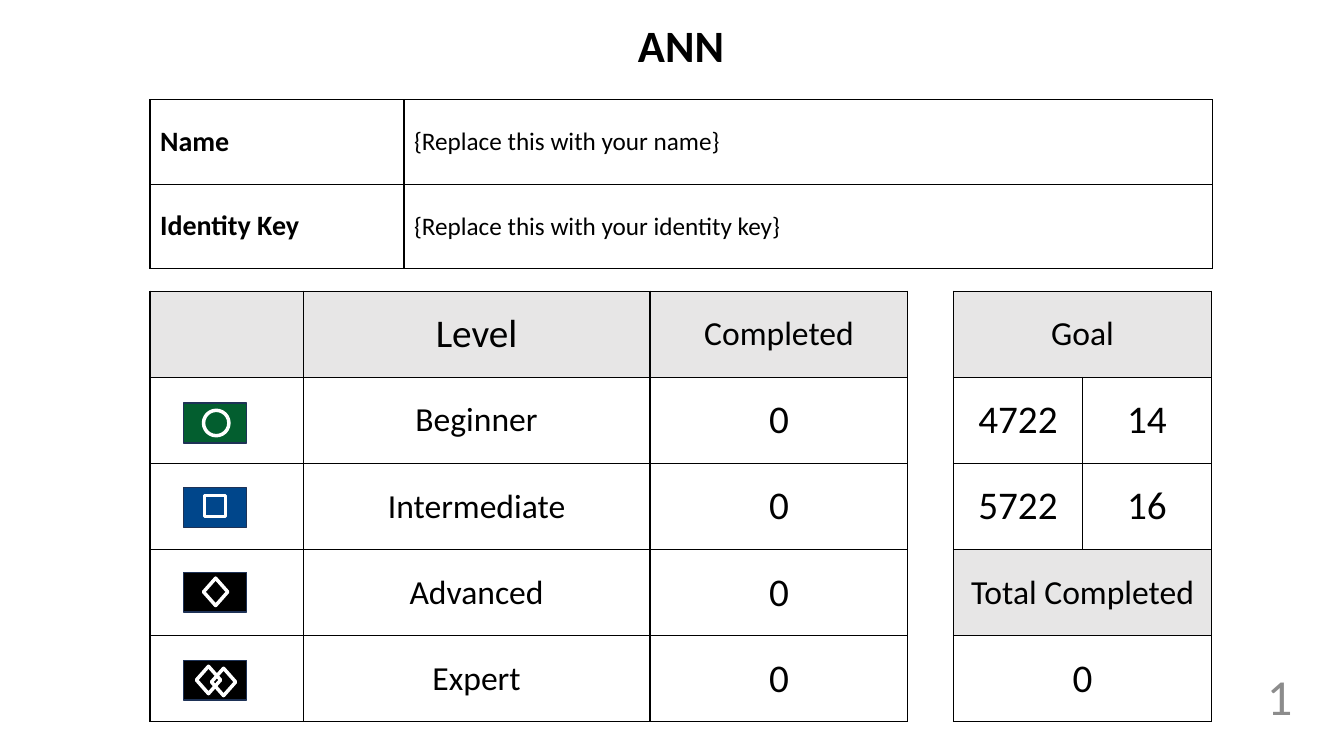
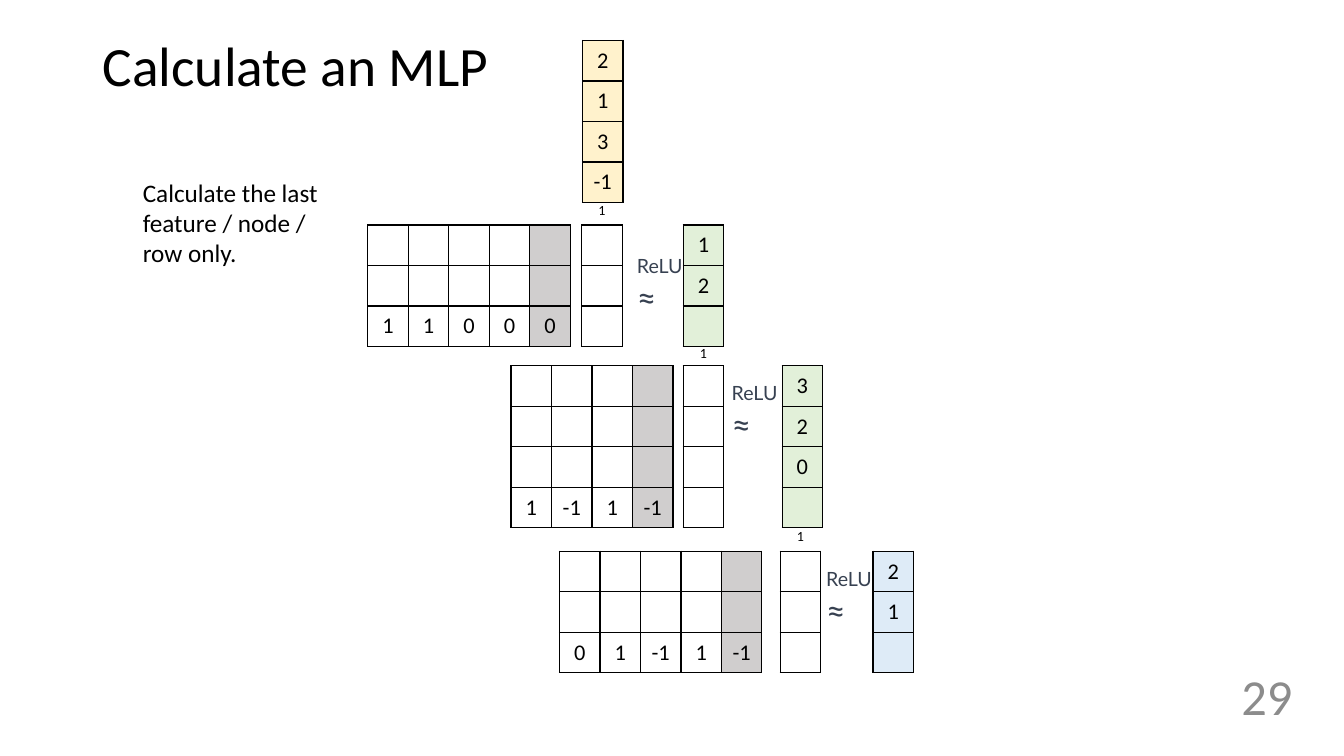
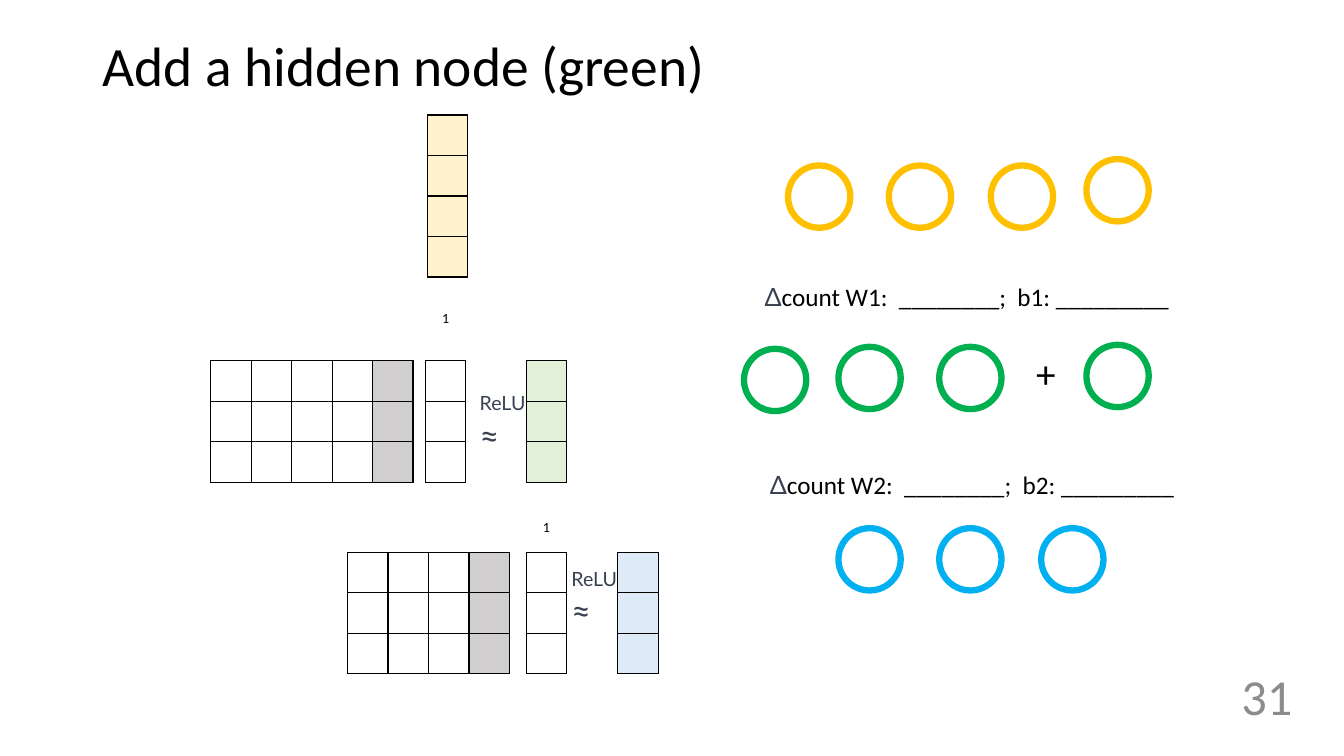
from lxml import etree
from pptx import Presentation
from pptx.dml.color import RGBColor
from pptx.enum.shapes import MSO_SHAPE
from pptx.enum.text import MSO_ANCHOR, PP_ALIGN
from pptx.oxml.ns import qn
from pptx.util import Cm, Pt

# Shared look
BLACK, WHITE, SLATE, GRAY = "000000", "FFFFFF", "374151", "8C8C8C"
HEADER, BIAS = "E7E6E6", "D0CECE"
INPUT, HIDDEN, OUTPUT = "FFF2CC", "E2F0D9", "DEEBF7"
YELLOW, GREEN, BLUE = "FFC000", "00B050", "00B0F0"
CELL = 1.02
CIRCLE = 1.57
LEFT, CENTER, RIGHT = PP_ALIGN.LEFT, PP_ALIGN.CENTER, PP_ALIGN.RIGHT


def rgb(value):
    return RGBColor.from_string(value)


def write(tf, text, size=18, color=BLACK, font="Calibri", bold=False,
          align=LEFT, spacing=None, same_line=False):
    """Add a run, on a new paragraph unless the frame is empty."""
    p = tf.paragraphs[-1]
    if p.runs and not same_line:
        p = tf.add_paragraph()
    p.alignment = align
    if spacing:
        p.line_spacing = spacing
    r = p.add_run()
    r.text = text
    r.font.size, r.font.name, r.font.bold = Pt(size), font, bold
    r.font.color.rgb = rgb(color)


def add_text(s, x, y, w, h, text, wrap=True, anchor=MSO_ANCHOR.TOP, **fmt):
    tf = s.shapes.add_textbox(Cm(x), Cm(y), Cm(w), Cm(h)).text_frame
    tf.word_wrap = wrap
    tf.vertical_anchor = anchor
    write(tf, text, **fmt)
    return tf


def add_figure(s, kind, x, y, w, h, line, width, fill=None):
    sp = s.shapes.add_shape(kind, Cm(x), Cm(y), Cm(w), Cm(h))
    sp.shadow.inherit = False
    if fill:
        sp.fill.solid()
        sp.fill.fore_color.rgb = rgb(fill)
    else:
        sp.fill.background()
    sp.line.color.rgb = rgb(line)
    sp.line.width = Pt(width)


def add_borders(cell):
    props = cell._tc.get_or_add_tcPr()
    for side in ("a:lnL", "a:lnR", "a:lnT", "a:lnB"):
        ln = etree.SubElement(props, qn(side), w=str(Pt(1)))
        fill = etree.SubElement(ln, qn("a:solidFill"))
        etree.SubElement(fill, qn("a:srgbClr"), val=BLACK)


def add_table(s, x, y, cols, row_h, rows, style, inset=0.13):
    """Fill a table; style(row, column) gives a cell's fill and text format."""
    frame = s.shapes.add_table(len(rows), len(cols), Cm(x), Cm(y),
                               Cm(sum(cols)), Cm(row_h * len(rows)))
    table = frame.table
    table.first_row = table.horz_banding = False
    for column, width in zip(table.columns, cols):
        column.width = Cm(width)
    for i, values in enumerate(rows):
        table.rows[i].height = Cm(row_h)
        for j, value in enumerate(values):
            cell = table.cell(i, j)
            fill, fmt = style(i, j)
            add_borders(cell)
            if fill:
                cell.fill.solid()
                cell.fill.fore_color.rgb = rgb(fill)
            else:
                cell.fill.background()
            cell.vertical_anchor = MSO_ANCHOR.MIDDLE
            cell.margin_top = cell.margin_bottom = Cm(inset)
            if value:
                write(cell.text_frame, value, **fmt)
    return table


def add_grid(s, x, y, rows, fill=None, bias=False):
    """Square cells; with bias, the last column is gray."""
    last = len(rows[0]) - 1

    def style(i, j):
        return (BIAS if bias and j == last else fill,
                {"size": 16, "align": CENTER})

    add_table(s, x, y, [CELL] * (last + 1), CELL, rows, style, inset=0.1)


def add_column(s, x, y, values, fill=None):
    add_grid(s, x, y, [[v] for v in values], fill)


def add_layer(s, y, xs, relu, one_y, weights, result, fill):
    """Weights, input and output columns, with the activation between."""
    weights_x, input_x, output_x = xs
    n = len(result)
    blank = [""] * len(weights)
    add_grid(s, weights_x, y, [blank] * (n - 1) + [weights], bias=True)
    add_column(s, input_x, y, [""] * n)
    add_column(s, output_x, y, result, fill)
    tf = add_text(s, *relu, 1.93, 1.88, "ReLU", size=14, color=SLATE,
                  font="Lato")
    write(tf, "≈", size=24, color=SLATE, font="Lato")
    add_text(s, input_x + 0.17, one_y, 0.69, 0.69, "1", wrap=False, size=10)


def new_slide(prs, number, title=None):
    s = prs.slides.add_slide(prs.slide_layouts[6])
    if title:
        add_text(s, 2.34, 1.02, 29.21, 1.4, title, anchor=MSO_ANCHOR.MIDDLE,
                 size=39.6, spacing=0.9)
    add_text(s, 29.64, 16.43, 3.18, 2.18, number, anchor=MSO_ANCHOR.MIDDLE,
             size=36, color=GRAY, align=RIGHT)
    return s


def add_signs(s):
    """Difficulty signs: each mark is kind, offset and size in its box."""
    diamond = MSO_SHAPE.DIAMOND
    signs = [
        (10.16, "035E2F", [(MSO_SHAPE.OVAL, 0.51, 0.18, 0.64, 0.64)]),
        (12.29, "00468B", [(MSO_SHAPE.RECTANGLE, 0.53, 0.2, 0.53, 0.53)]),
        (14.42, BLACK, [(diamond, 0.51, 0.15, 0.61, 0.69)]),
        (16.64, BLACK, [(diamond, 0.33, 0.15, 0.61, 0.69),
                        (diamond, 0.71, 0.2, 0.61, 0.69)]),
    ]
    x = 4.62
    for y, color, marks in signs:
        add_figure(s, MSO_SHAPE.RECTANGLE, x, y, 1.6, 1, "1E3256", 1, color)
        for k, (kind, dx, dy, w, h) in enumerate(marks):
            add_figure(s, kind, x + dx, y + dy, w, h, WHITE, 2.5,
                       None if k else color)


def scorecard(prs):
    s = new_slide(prs, "1")
    add_text(s, 3.78, 0.33, 26.77, 1.63, "ANN", size=32, bold=True,
             align=CENTER)
    left, goal_x, top, row = 3.78, 24.03, 7.34, 2.17

    def identity_style(i, j):
        return None, {"size": 18 if j else 20, "bold": j == 0}

    def level_style(i, j):
        big = (i == 0) == (j == 1)
        return (None if i else HEADER,
                {"size": 28 if big else 24, "align": CENTER})

    def goal_style(i, j):
        return (None if i else HEADER,
                {"size": 28 if i else 24, "align": CENTER})

    # Identity
    add_table(s, left, 2.51, [6.4, 20.37], 2.13,
              [["Name", "{Replace this with your name}"],
               ["Identity Key", "{Replace this with your identity key}"]],
              identity_style)
    # Levels
    levels = ["Beginner", "Intermediate", "Advanced", "Expert"]
    add_table(s, left, top, [3.86, 8.74, 6.5], row,
              [["", "Level", "Completed"]] + [["", v, "0"] for v in levels],
              level_style)
    add_signs(s)
    # Goal and total
    goal = add_table(s, goal_x, top, [3.25, 3.25], row,
                     [["Goal", ""], ["4722", "14"], ["5722", "16"]],
                     goal_style)
    goal.cell(0, 0).merge(goal.cell(0, 1))
    add_table(s, goal_x, top + 3 * row, [6.5], row,
              [["Total Completed"], ["0"]], goal_style)


def calculate_mlp(prs):
    s = new_slide(prs, "29", "Calculate an MLP")
    add_text(s, 3.35, 4.34, 5.64, 2.57,
             "Calculate the last feature / node / row only.")
    add_column(s, 14.68, 1.02, ["2", "1", "3", "-1"], INPUT)
    add_layer(s, 5.67, (9.27, 14.66, 17.22), (15.8, 6.27), 4.95,
              ["1", "1", "0", "0", "0"], ["1", "2", ""], HIDDEN)
    add_layer(s, 9.22, (12.88, 17.22, 19.71), (18.19, 9.47), 8.56,
              ["1", "-1", "1", "-1"], ["3", "2", "0", ""], HIDDEN)
    add_layer(s, 13.89, (14.1, 19.66, 22), (20.57, 14.15), 13.16,
              ["0", "1", "-1", "1", "-1"], ["2", "1", ""], OUTPUT)


def add_hidden_node(prs):
    s = new_slide(prs, "31", "Add a hidden node (green)")
    # Matrices
    add_column(s, 10.77, 2.9, [""] * 4, INPUT)
    add_layer(s, 9.09, (5.31, 10.72, 13.26), (11.84, 9.73), 7.67,
              [""] * 5, [""] * 3, HIDDEN)
    add_layer(s, 13.92, (8.76, 13.26, 15.57), (14.15, 14.15), 12.93,
              [""] * 4, [""] * 3, OUTPUT)
    # Nodes
    nodes = {
        YELLOW: [(19.86, 4.17), (22.4, 4.17), (24.97, 4.17), (27.38, 4.01)],
        GREEN: [(18.75, 8.79), (21.13, 8.74), (23.67, 8.74), (27.38, 8.69)],
        BLUE: [(21.13, 13.31), (23.67, 13.31), (26.24, 13.31)],
    }
    for color, places in nodes.items():
        for x, y in places:
            add_figure(s, MSO_SHAPE.OVAL, x, y, CIRCLE, CIRCLE, color, 4.5)
    add_text(s, 25.86, 8.69, 0.79, 1.45, "+", size=28)
    # Parameter counts
    for n, x, y in ((1, 19.02, 6.96), (2, 19.15, 11.71)):
        tf = add_text(s, x, y, 10.77, 1.02, "Δ", wrap=False, color=SLATE,
                      font="Lato")
        write(tf, f"count W{n}:  ________;  b{n}: _________", same_line=True)


def main():
    prs = Presentation()
    prs.slide_width, prs.slide_height = Cm(33.87), Cm(19.05)
    scorecard(prs)
    calculate_mlp(prs)
    add_hidden_node(prs)
    prs.save("out.pptx")


if __name__ == "__main__":
    main()
